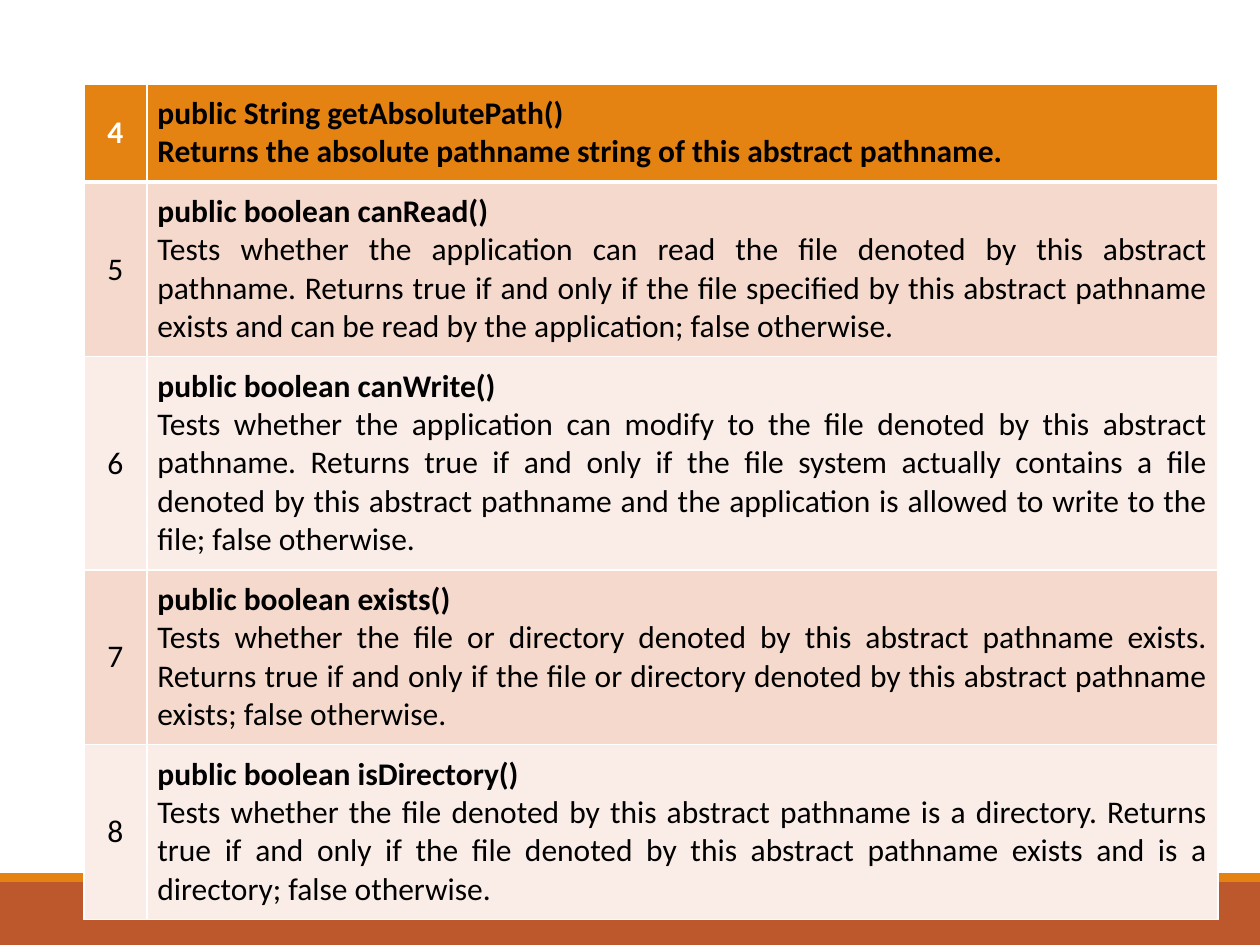
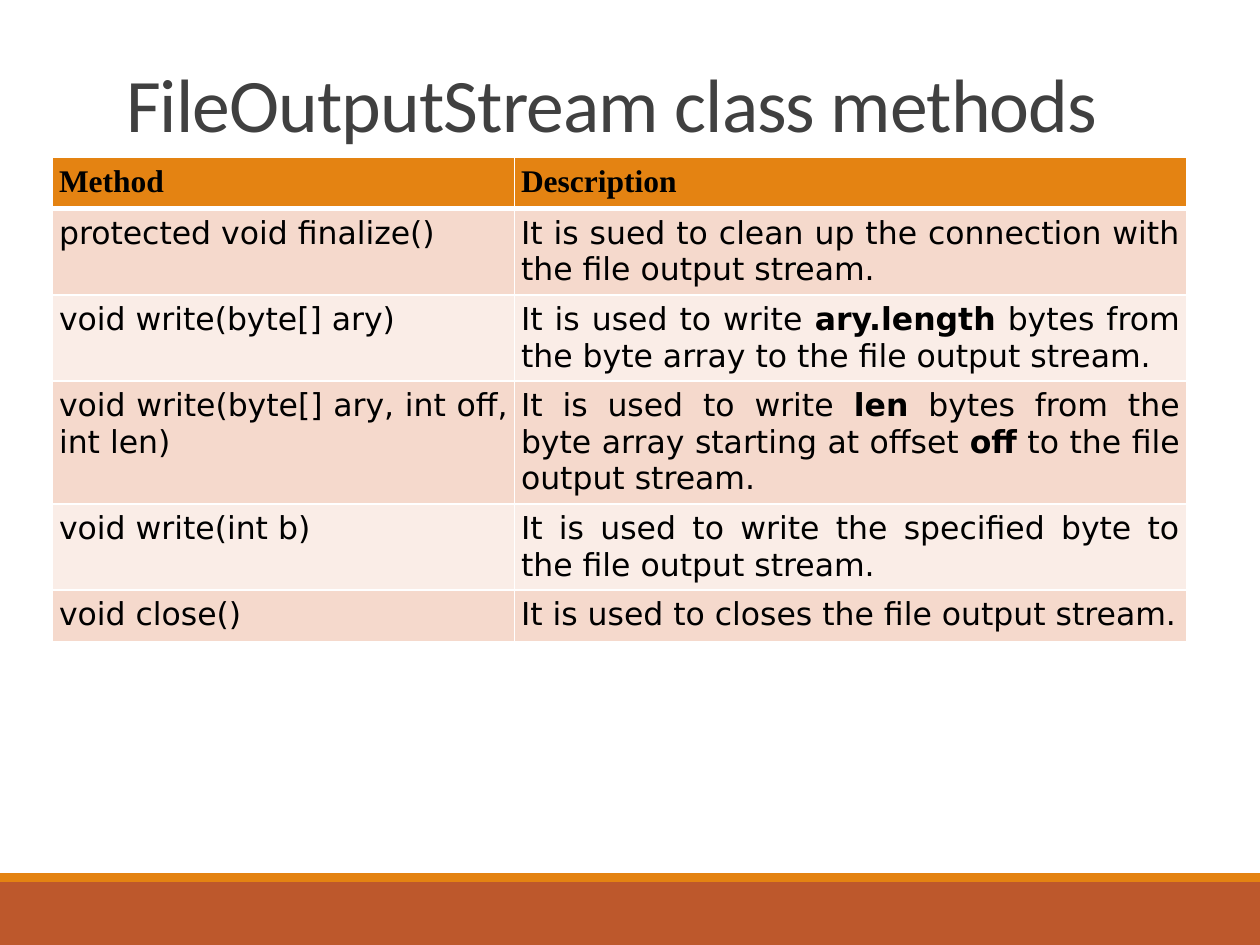
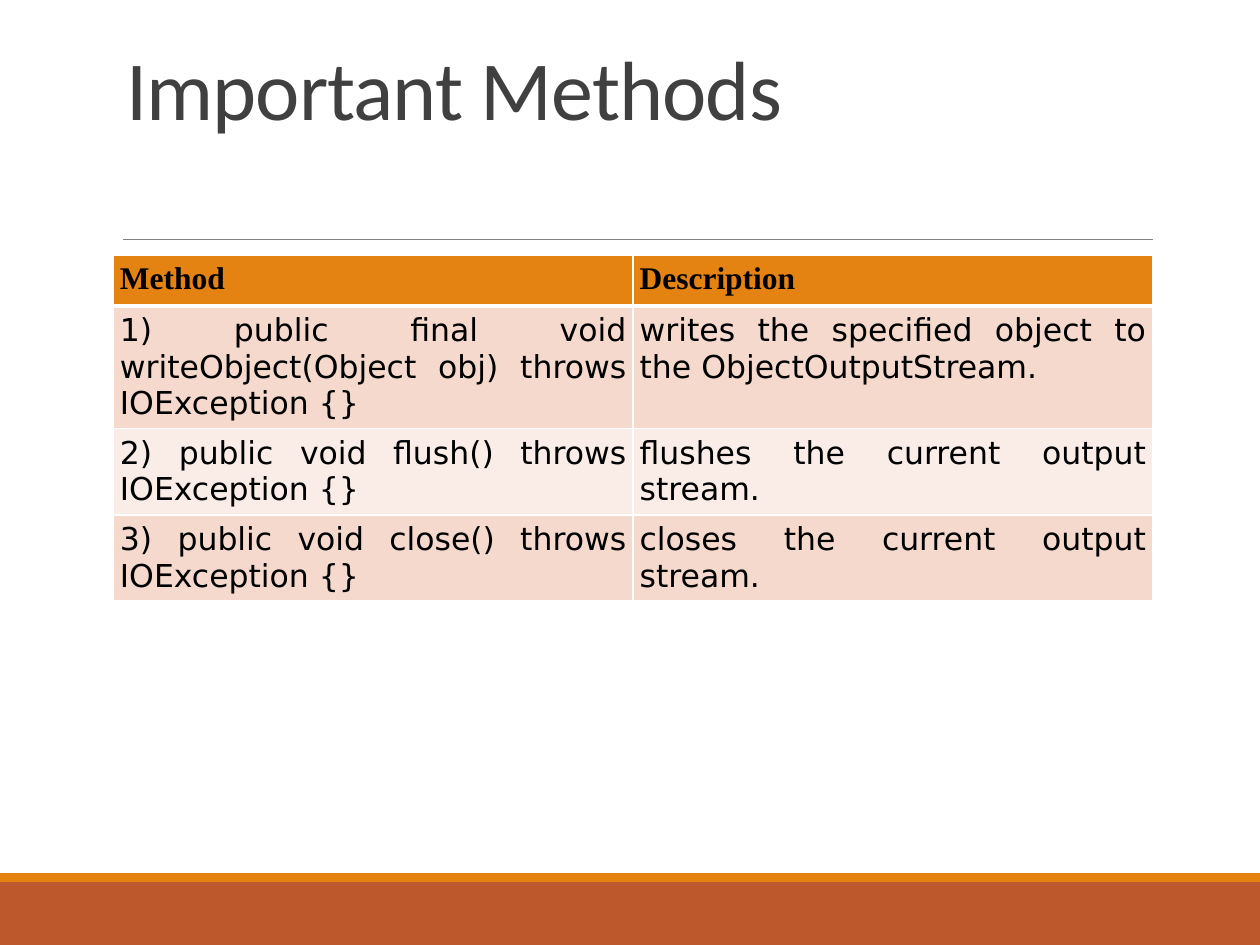
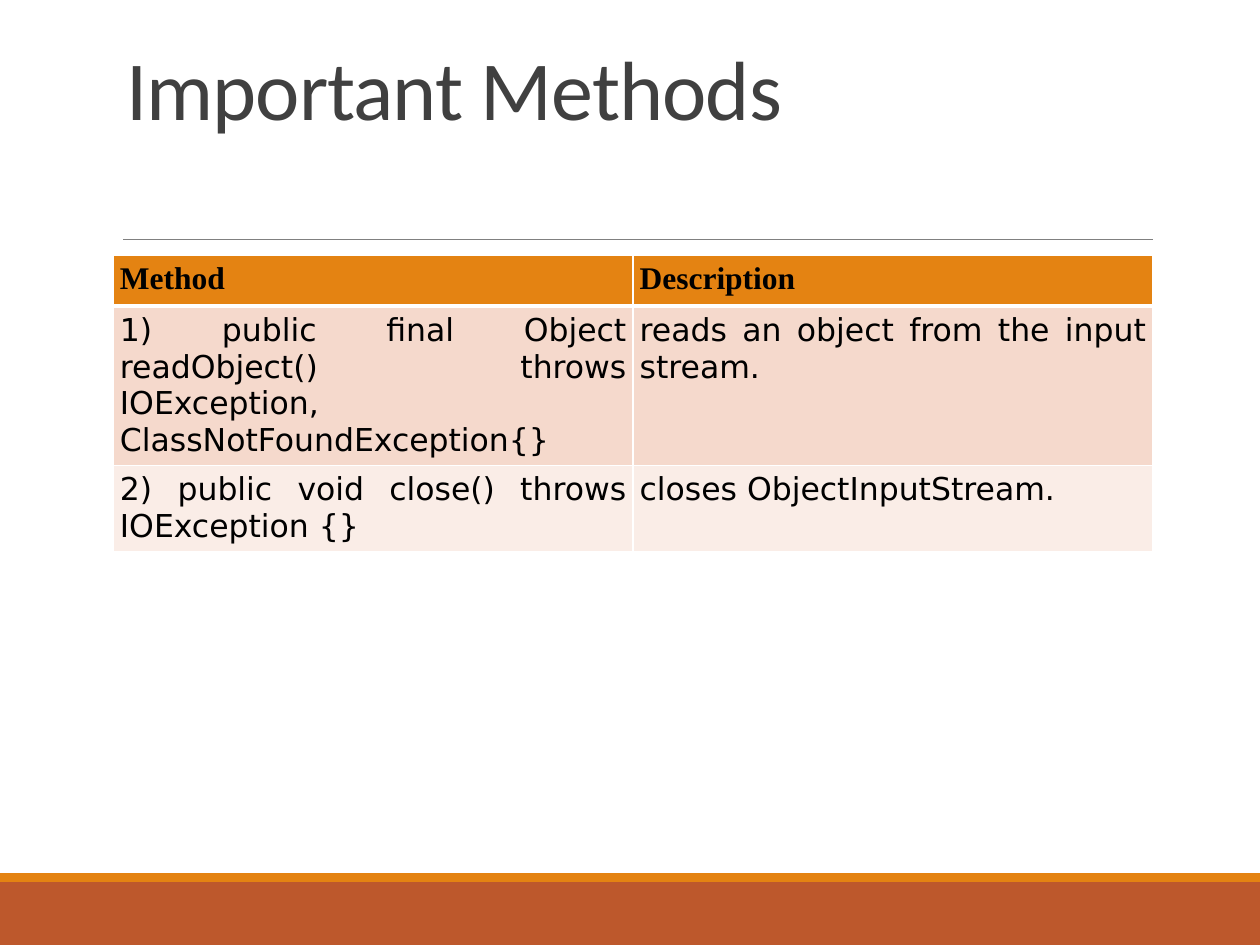
"""Build four slides of Java method tables on a shared banded design."""
from lxml import etree
from pptx import Presentation
from pptx.dml.color import RGBColor
from pptx.enum import shapes, text
from pptx.oxml import ns
from pptx.util import Pt

ORANGE = RGBColor(0xE4, 0x83, 0x12)
RUST = RGBColor(0xBD, 0x58, 0x2C)
ROSE = RGBColor(0xF5, 0xD9, 0xCC)
BLUSH = RGBColor(0xFA, 0xED, 0xE7)
GRAY = RGBColor(0x80, 0x80, 0x80)
DARK = RGBColor(0x40, 0x40, 0x40)
BLACK = RGBColor(0, 0, 0)
WHITE = RGBColor(0xFF, 0xFF, 0xFF)

SLIDE_SIZE = (720, 540)
BANDS = [(504, 36, RUST), (499, 5, ORANGE)]
RULE = (70.5, 659, 136.8)
TITLE_BOX = (64.8, 22.6, 594, 114.2)
TITLE_LAYOUT, BLANK_LAYOUT = 5, 6
ROW_HEIGHT = 29.2
BOLD_MARK = "**"
HEADER = ("Method", "Description")

NUMBERED = {"fonts": ("Calibri", "Calibri"), "inset": 6, "numbered": True}
METHODS = {"fonts": ("Times New Roman", "DejaVu Sans"), "inset": 3.75, "numbered": False}
IMPORTANT = {"title": "Important Methods", "title_size": 48, "style": METHODS,
             "at": (64.8, 145.6), "columns": (297, 297)}

SLIDES = [
    {"title": None, "style": NUMBERED, "at": (48, 48), "columns": (36, 612), "rows": [
        ("4", "public String getAbsolutePath()\n"
              "Returns the absolute pathname string of this abstract pathname."),
        ("5", "**public boolean canRead()**\n"
              "Tests whether the application can read the file denoted by this abstract pathname. "
              "Returns true if and only if the file specified by this abstract pathname exists "
              "and can be read by the application; false otherwise."),
        ("6", "**public boolean canWrite()**\n"
              "Tests whether the application can modify to the file denoted by this abstract "
              "pathname. Returns true if and only if the file system actually contains a file "
              "denoted by this abstract pathname and the application is allowed to write to the "
              "file; false otherwise."),
        ("7", "**public boolean exists()**\n"
              "Tests whether the file or directory denoted by this abstract pathname exists. "
              "Returns true if and only if the file or directory denoted by this abstract "
              "pathname exists; false otherwise."),
        ("8", "**public boolean isDirectory()**\n"
              "Tests whether the file denoted by this abstract pathname is a directory. Returns "
              "true if and only if the file denoted by this abstract pathname exists and is a "
              "directory; false otherwise."),
    ]},
    {"title": "FileOutputStream class methods", "title_size": 43.2, "style": METHODS,
     "at": (30, 90), "columns": (264, 384), "rows": [
        HEADER,
        ("protected void finalize()",
         "It is sued to clean up the connection with the file output stream."),
        ("void write(byte[] ary)",
         "It is used to write **ary.length** bytes from the byte array to the file output stream."),
        ("void write(byte[] ary, int off, int len)",
         "It is used to write **len** bytes from the byte array starting at offset **off** to the "
         "file output stream."),
        ("void write(int b)",
         "It is used to write the specified byte to the file output stream."),
        ("void close()", "It is used to closes the file output stream."),
    ]},
    {**IMPORTANT, "rows": [
        HEADER,
        ("1) public final void writeObject(Object obj) throws IOException {}",
         "writes the specified object to the ObjectOutputStream."),
        ("2) public void flush() throws IOException {}", "flushes the current output stream."),
        ("3) public void close() throws IOException {}", "closes the current output stream."),
    ]},
    {**IMPORTANT, "rows": [
        HEADER,
        ("1) public final Object readObject() throws IOException, ClassNotFoundException{}",
         "reads an object from the input stream."),
        ("2) public void close() throws IOException {}", "closes ObjectInputStream."),
    ]},
]


def set_all(target, values):
    """Set each named attribute of the target."""
    for name, value in values.items():
        setattr(target, name, value)


def decorate_master(presentation, slide):
    """Draw the bands and the rule, then move them to the slide master."""
    parts = []
    for top, height, color in BANDS:
        band = slide.shapes.add_shape(shapes.MSO_SHAPE.RECTANGLE, 0, Pt(top),
                                      Pt(SLIDE_SIZE[0]), Pt(height))
        band.shadow.inherit = False
        band.fill.solid()
        band.fill.fore_color.rgb = color
        band.line.fill.background()
        parts.append(band)
    left, right, top = RULE
    rule = slide.shapes.add_connector(shapes.MSO_CONNECTOR.STRAIGHT,
                                      Pt(left), Pt(top), Pt(right), Pt(top))
    rule.line.color.rgb = GRAY
    rule.line.width = Pt(0.5)
    etree.SubElement(rule.element.spPr, ns.qn("a:effectLst"))
    parts.append(rule)
    for part in parts:
        presentation.slide_master.shapes.element.append(part.element)


def fill_title(title, words, size):
    """Place the title and keep one line free below its text."""
    left, top, width, height = map(Pt, TITLE_BOX)
    set_all(title, {"left": left, "top": top, "width": width, "height": height})
    set_all(title.text_frame, {"vertical_anchor": text.MSO_ANCHOR.BOTTOM, "word_wrap": True,
                               "auto_size": text.MSO_AUTO_SIZE.NONE,
                               "margin_bottom": Pt(round(size * 1.2))})
    paragraph = title.text_frame.paragraphs[0]
    set_all(paragraph, {"alignment": text.PP_ALIGN.LEFT, "line_spacing": 0.85})
    run = paragraph.add_run()
    run.text = words
    set_all(run.font, {"name": "Calibri", "size": Pt(size)})
    run.font.color.rgb = DARK
    run.font._element.set("spc", "-50")


def add_borders(cell, row_index):
    """Draw white cell borders, thicker between header and body."""
    widths = {"L": 1, "R": 1, "T": 3 if row_index == 1 else 1, "B": 3 if row_index == 0 else 1}
    properties = cell._tc.get_or_add_tcPr()
    for side, width in widths.items():
        line = etree.SubElement(properties, ns.qn("a:ln" + side), w=str(Pt(width)))
        fill = etree.SubElement(line, ns.qn("a:solidFill"))
        etree.SubElement(fill, ns.qn("a:srgbClr"), val=str(WHITE))


def fill_cell(cell, words, row_index, column_index, style):
    """Format one table cell and write its paragraphs."""
    header = row_index == 0
    number = style["numbered"] and column_index == 0
    add_borders(cell, row_index)
    cell.fill.solid()
    cell.fill.fore_color.rgb = ORANGE if header else (BLUSH, ROSE)[row_index % 2]
    for side in ("left", "right", "top", "bottom"):
        setattr(cell, "margin_" + side, Pt(style["inset"]))
    cell.vertical_anchor = text.MSO_ANCHOR.MIDDLE if number else text.MSO_ANCHOR.TOP
    if number:
        alignment = text.PP_ALIGN.CENTER
    elif header and not style["numbered"]:
        alignment = text.PP_ALIGN.LEFT
    else:
        alignment = text.PP_ALIGN.JUSTIFY
    for index, line in enumerate(words.split("\n")):
        paragraph = cell.text_frame.add_paragraph() if index else cell.text_frame.paragraphs[0]
        paragraph.alignment = alignment
        for part, piece in enumerate(line.split(BOLD_MARK)):
            if piece:
                run = paragraph.add_run()
                run.text = piece
                set_all(run.font, {"name": style["fonts"][0 if header else 1], "size": Pt(18),
                                   "bold": header or part % 2 == 1})
                run.font.color.rgb = WHITE if header and number else BLACK


def add_method_table(slide, content):
    """Add the table of methods described by the content."""
    rows, columns = content["rows"], content["columns"]
    left, top = content["at"]
    table = slide.shapes.add_table(len(rows), len(columns), Pt(left), Pt(top), Pt(sum(columns)),
                                   Pt(ROW_HEIGHT * len(rows))).table
    for column, width in zip(table.columns, columns):
        column.width = Pt(width)
    for row_index, row in enumerate(rows):
        for column_index, words in enumerate(row):
            fill_cell(table.cell(row_index, column_index), words, row_index, column_index,
                      content["style"])


def main():
    """Build and save the presentation."""
    presentation = Presentation()
    presentation.slide_width, presentation.slide_height = map(Pt, SLIDE_SIZE)
    for index, content in enumerate(SLIDES):
        layout = TITLE_LAYOUT if content["title"] else BLANK_LAYOUT
        slide = presentation.slides.add_slide(presentation.slide_layouts[layout])
        if index == 0:
            decorate_master(presentation, slide)
        if content["title"]:
            fill_title(slide.shapes.title, content["title"], content["title_size"])
        add_method_table(slide, content)
    presentation.save("out.pptx")


if __name__ == "__main__":
    main()
